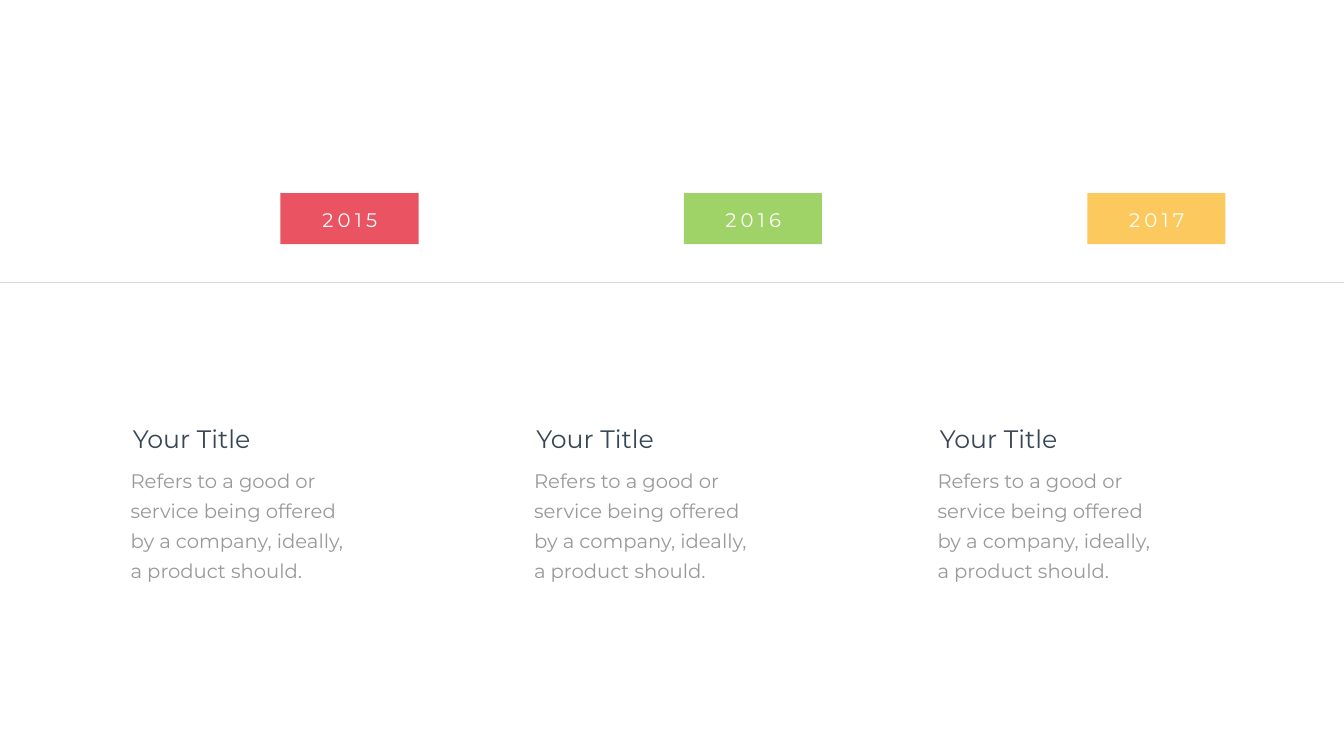
from lxml import etree
from pptx import Presentation
from pptx.dml.color import RGBColor
from pptx.enum.shapes import MSO_CONNECTOR, MSO_SHAPE
from pptx.enum.text import MSO_AUTO_SIZE, PP_ALIGN
from pptx.oxml.ns import qn
from pptx.util import Cm, Pt

STRAIGHT = MSO_CONNECTOR.STRAIGHT
RECTANGLE = MSO_SHAPE.RECTANGLE
GROW = MSO_AUTO_SIZE.SHAPE_TO_FIT_TEXT
LEFT = PP_ALIGN.LEFT
CENTER = PP_ALIGN.CENTER

WHITE = RGBColor(0xFF, 0xFF, 0xFF)
OFF_WHITE = RGBColor(0xFE, 0xFF, 0xFE)
RULE_GRAY = RGBColor(0xD9, 0xD9, 0xD9)
BODY_GRAY = RGBColor(0x99, 0x99, 0x99)
NAVY = RGBColor(0x37, 0x45, 0x56)
RED = RGBColor(0xE9, 0x53, 0x62)
GREEN = RGBColor(0x9F, 0xD3, 0x68)
YELLOW = RGBColor(0xFB, 0xC9, 0x5E)

SLIDE_WIDTH, SLIDE_HEIGHT = 67.72, 38.1
COLUMN_PITCH = 20.33
TITLE = "Your Title"
BODY = ("Refers to a good or service being offered by a company, "
        "ideally, a product should.")
MILESTONES = [("2015", RED), ("2016", GREEN), ("2017", YELLOW)]


class TimelineSlide:
    """Holds the style and the current slide; all lengths are in cm."""

    font_name = "Montserrat"

    def __init__(self, slide):
        self.slide = slide
        slide.background.fill.solid()
        slide.background.fill.fore_color.rgb = WHITE

    def line(self, left, top, right, color, weight):
        connector = self.slide.shapes.add_connector(
            STRAIGHT, Cm(left), Cm(top), Cm(right), Cm(top))
        connector.line.color.rgb = color
        connector.line.width = Pt(weight)
        etree.SubElement(connector.element.spPr, qn("a:effectLst"))

    def rectangle(self, left, top, width, height, color):
        shape = self.slide.shapes.add_shape(
            RECTANGLE, Cm(left), Cm(top), Cm(width), Cm(height))
        shape.shadow.inherit = False
        shape.fill.solid()
        shape.fill.fore_color.rgb = color
        shape.line.fill.background()

    def text(self, left, top, width, height, content, size, color,
             alignment=LEFT, insets=(0.25, 0.13), line_spacing=None,
             letter_spacing=None):
        box = self.slide.shapes.add_textbox(
            Cm(left), Cm(top), Cm(width), Cm(height))
        frame = box.text_frame
        frame.word_wrap = True
        frame.auto_size = GROW
        frame.margin_left = frame.margin_right = Cm(insets[0])
        frame.margin_top = frame.margin_bottom = Cm(insets[1])
        paragraph = frame.paragraphs[0]
        paragraph.alignment = alignment
        if line_spacing:
            paragraph.line_spacing = Pt(line_spacing)
        run = paragraph.add_run()
        run.text = content
        run.font.name = self.font_name
        run.font.size = Pt(size)
        run.font.color.rgb = color
        if letter_spacing:
            run.font._element.set("spc", str(letter_spacing * 100))

    def milestone(self, offset, year, color):
        # Description and title
        self.text(offset + 5.97, 22.99, 12.22, 6.6, BODY, 28, BODY_GRAY,
                  insets=(0.61, 0.3), line_spacing=43)
        self.text(offset + 6.45, 21.18, 12.22, 1.8, TITLE, 36, NAVY)
        # Year tag
        self.rectangle(offset + 14.13, 9.73, 6.96, 2.57, color)
        self.text(offset + 14.97, 10.36, 5.31, 1.45, year, 28, OFF_WHITE,
                  alignment=CENTER, letter_spacing=6)


def main():
    presentation = Presentation()
    presentation.slide_width = Cm(SLIDE_WIDTH)
    presentation.slide_height = Cm(SLIDE_HEIGHT)
    blank_layout = presentation.slide_layouts[6]
    timeline = TimelineSlide(presentation.slides.add_slide(blank_layout))

    # Time axis
    timeline.line(0, 14.22, SLIDE_WIDTH, RULE_GRAY, 0.5)

    # One column per year
    for index, (year, color) in enumerate(MILESTONES):
        timeline.milestone(index * COLUMN_PITCH, year, color)

    presentation.save("out.pptx")


if __name__ == "__main__":
    main()
